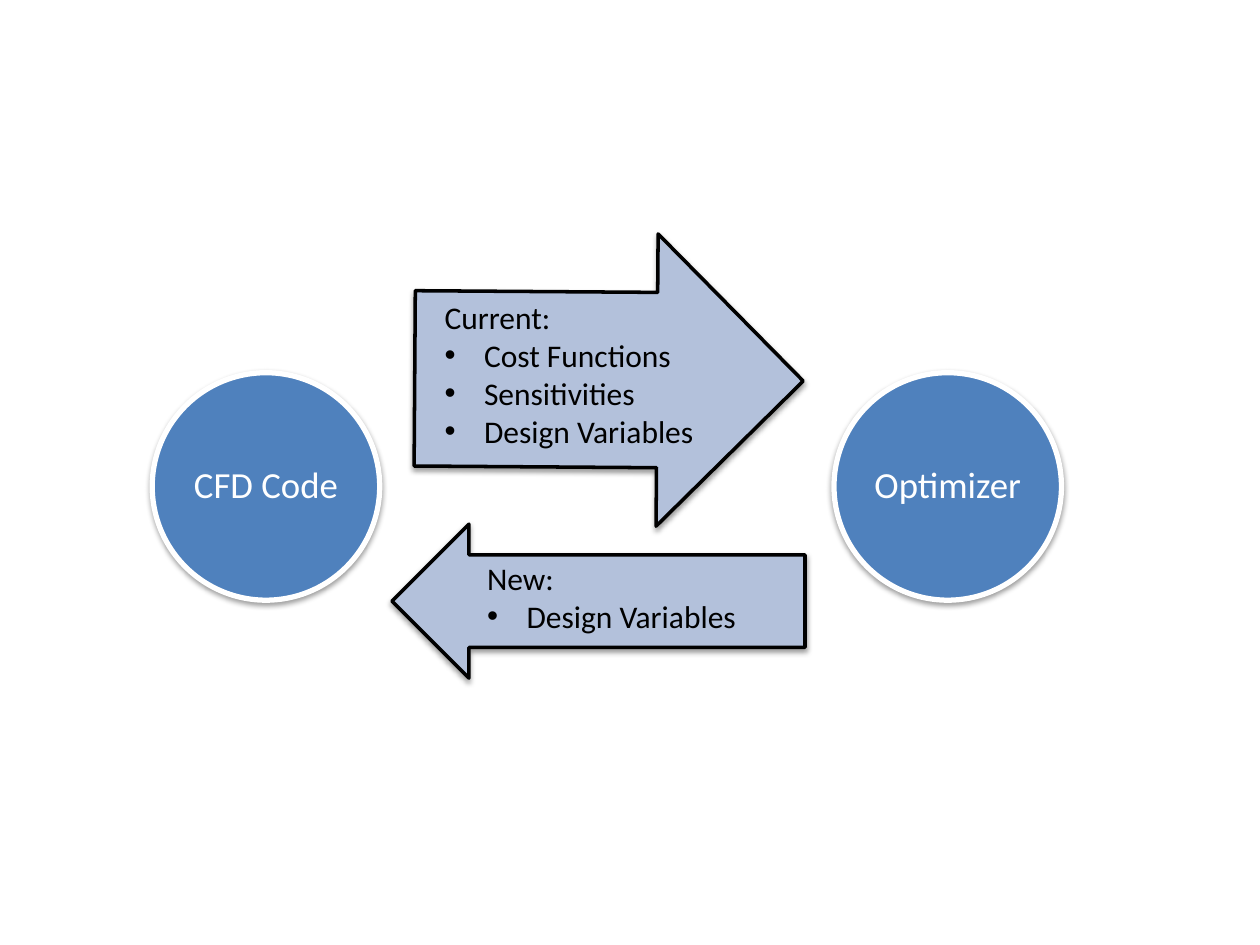
from lxml.etree import SubElement
from pptx import Presentation
from pptx.dml.color import RGBColor
from pptx.enum.shapes import MSO_SHAPE
from pptx.enum.text import MSO_ANCHOR, MSO_AUTO_SIZE, PP_ALIGN
from pptx.oxml.ns import qn
from pptx.util import Pt

BLUE, PALE, WHITE, BLACK = "4F81BD", "B3C1DB", "FFFFFF", "000000"


def paint(color, value):
    """Set a colour format from a hex string."""
    color.rgb = RGBColor.from_string(value)


def assign(target, values):
    """Set each named attribute on the target."""
    for name, value in values.items():
        setattr(target, name, value)


def shade(shape):
    """Give a shape a soft shadow straight below it."""
    shape.shadow.inherit = False
    effects = shape._element.spPr.find(qn("a:effectLst"))
    outer = SubElement(effects, qn("a:outerShdw"), blurRad=str(Pt(3.1)),
                       dist=str(Pt(1.6)), dir="5400000", rotWithShape="0")
    color = SubElement(outer, qn("a:srgbClr"), val=BLACK)
    SubElement(color, qn("a:alpha"), val="38000")


def add_form(slide, kind, box, fill, line, width):
    """Add a filled, outlined shape with a shadow."""
    shape = slide.shapes.add_shape(kind, *map(Pt, box))
    shape.fill.solid()
    paint(shape.fill.fore_color, fill)
    paint(shape.line.color, line)
    shape.line.width = Pt(width)
    shade(shape)
    return shape


def write(para, text, size, color):
    """Write one run of text into a paragraph."""
    run = para.add_run()
    assign(run, {"text": text})
    assign(run.font, {"name": "Calibri", "size": Pt(size)})
    paint(run.font.color, color)


def add_node(slide, left, label):
    """Add a circle with a centred label."""
    node = add_form(slide, MSO_SHAPE.OVAL, (left, 213, 130, 130), BLUE, WHITE, 3)
    frame = node.text_frame
    sides = ("left", "top", "right", "bottom")
    assign(frame, {f"margin_{side}": Pt(2) for side in sides})
    assign(frame, {"word_wrap": True, "vertical_anchor": MSO_ANCHOR.MIDDLE})
    para = frame.paragraphs[0]
    assign(para, {"alignment": PP_ALIGN.CENTER, "line_spacing": 0.9})
    write(para, label, 21, WHITE)


def add_arrow(slide, box, turn):
    """Add a block arrow turned by some degrees."""
    arrow = add_form(slide, MSO_SHAPE.RIGHT_ARROW, box, PALE, BLACK, 2)
    arrow.adjustments[0] = 0.6
    arrow.adjustments[1] = 0.5
    arrow.rotation = turn


def add_list(slide, box, title, items):
    """Add a text box with a title and bulleted items."""
    frame = slide.shapes.add_textbox(*map(Pt, box)).text_frame
    assign(frame, {"word_wrap": True, "auto_size": MSO_AUTO_SIZE.SHAPE_TO_FIT_TEXT})
    write(frame.paragraphs[0], title, 18, BLACK)
    for item in items:
        para = frame.add_paragraph()
        props = para._p.get_or_add_pPr()
        props.set("marL", str(Pt(22.5)))
        props.set("indent", str(-Pt(22.5)))
        SubElement(props, qn("a:buFont"), typeface="Arial")
        SubElement(props, qn("a:buChar"), char="•")
        write(para, item, 18, BLACK)


def main():
    """Build and save the slide."""
    deck = Presentation()
    assign(deck, {"slide_width": Pt(720), "slide_height": Pt(540)})
    slide = deck.slides.add_slide(deck.slide_layouts[6])
    add_node(slide, 87, "CFD Code")
    add_arrow(slide, (237, 133.5, 222, 167), 0.4)
    add_node(slide, 476.6, "Optimizer")
    add_arrow(slide, (224, 299.5, 236, 88), 180)
    add_list(slide, (247, 167, 170, 94.5), "Current:",
             ["Cost Functions", "Sensitivities", "Design Variables"])
    add_list(slide, (271.3, 316, 170, 51), "New:", ["Design Variables"])
    deck.save("out.pptx")


if __name__ == "__main__":
    main()
